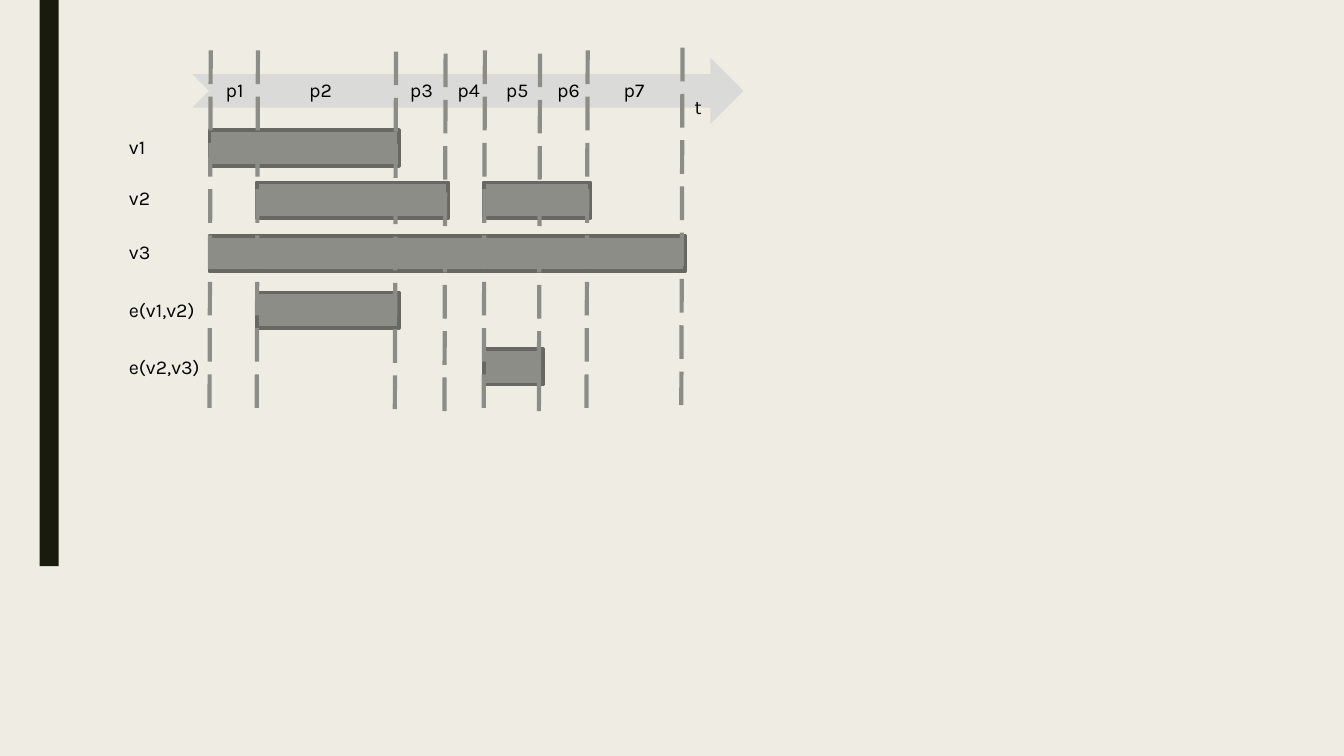
from dataclasses import dataclass

from lxml.etree import SubElement
from pptx import Presentation
from pptx.dml.color import RGBColor
from pptx.enum.dml import MSO_LINE
from pptx.enum.shapes import MSO_CONNECTOR, MSO_SHAPE
from pptx.enum.text import MSO_AUTO_SIZE
from pptx.oxml.ns import qn
from pptx.util import Cm, Pt


@dataclass(frozen=True)
class Theme:
    background: RGBColor = RGBColor(0xEF, 0xED, 0xE3)
    accent_stripe: RGBColor = RGBColor(0x19, 0x1B, 0x0E)
    time_arrow: RGBColor = RGBColor(0xDA, 0xDB, 0xD9)
    bar: RGBColor = RGBColor(0x8C, 0x8D, 0x86)
    bar_outline: RGBColor = RGBColor(0x68, 0x68, 0x63)
    text: RGBColor = RGBColor(0, 0, 0)
    font: str = "Karla"
    label_size: Pt = Pt(14)
    bar_outline_width: Pt = Pt(2.75)
    boundary_width: Pt = Pt(3)


THEME = Theme()

# Period boundaries: (x, top) in cm from the corner of the diagram
BOUNDARIES = [(2.31, 0.07), (3.5, 0.07), (6.98, 0.1), (8.23, 0.15),
              (9.22, 0.07), (10.61, 0.15), (11.81, 0.07), (14.2, 0)]
BOUNDARY_LENGTH = 9.07
BOUNDARY_SLANT = 0.03

# Left edges of the labels p1 to p7
PERIOD_LABELS = [2.44, 4.54, 7.08, 8.28, 9.5, 10.79, 12.47]

# Rows: name, bar top, label top, spans as (first, last) boundary
ROWS = [
    ("v1", 2.08, 2.08, [(0, 2)]),
    ("v2", 3.4, 3.35, [(1, 3), (4, 6)]),
    ("v3", 4.74, 4.72, [(0, 7)]),
    ("e(v1,v2)", 6.17, 6.19, [(1, 2)]),
    ("e(v2,v3)", 7.59, 7.61, [(4, 5)]),
]
BAR_HEIGHT = 0.9
BAR_OVERHANG = 0.07
LABEL_HEIGHT = 0.86


def add_block(slide, kind, left, top, width, height, fill, outline=None):
    shape = slide.shapes.add_shape(kind, Cm(left), Cm(top), Cm(width), Cm(height))
    shape.shadow.inherit = False
    shape.fill.solid()
    shape.fill.fore_color.rgb = fill
    if outline is None:
        shape.line.fill.background()
    else:
        shape.line.color.rgb = outline
        shape.line.width = THEME.bar_outline_width


def add_label(slide, text, left, top, width, height=LABEL_HEIGHT, wrap=True):
    box = slide.shapes.add_textbox(Cm(left), Cm(top), Cm(width), Cm(height))
    frame = box.text_frame
    frame.word_wrap = wrap
    frame.auto_size = MSO_AUTO_SIZE.SHAPE_TO_FIT_TEXT
    run = frame.paragraphs[0].add_run()
    run.text = text
    run.font.name = THEME.font
    run.font.size = THEME.label_size
    run.font.color.rgb = THEME.text


def add_boundary(slide, x, top):
    line = slide.shapes.add_connector(
        MSO_CONNECTOR.STRAIGHT, Cm(x), Cm(top),
        Cm(x - BOUNDARY_SLANT), Cm(top + BOUNDARY_LENGTH))
    line.line.color.rgb = THEME.bar
    line.line.width = THEME.boundary_width
    line.line.dash_style = MSO_LINE.LONG_DASH
    SubElement(line.element.spPr, qn("a:effectLst"))


def add_accent_stripe(slide, left, top, width, height):
    add_block(slide, MSO_SHAPE.RECTANGLE, left, top, width, height,
              THEME.accent_stripe)


def add_timeline(slide, left, top):
    # Time axis
    add_block(slide, MSO_SHAPE.NOTCHED_RIGHT_ARROW, left + 1.85, top + 0.25,
              13.89, 1.68, THEME.time_arrow)
    add_label(slide, "t", left + 14.25, top + 1.06, 0.74, 1.02, wrap=False)

    # Rows of bars
    for name, bar_top, label_top, spans in ROWS:
        add_label(slide, name, left, top + label_top, 2.57)
        for first, last in spans:
            start = BOUNDARIES[first][0] - BOUNDARY_SLANT
            end = BOUNDARIES[last][0] + BAR_OVERHANG
            add_block(slide, MSO_SHAPE.RECTANGLE, left + start, top + bar_top,
                      end - start, BAR_HEIGHT, THEME.bar, THEME.bar_outline)

    # Period boundaries and names
    for x, offset in BOUNDARIES:
        add_boundary(slide, left + x, top + offset)
    for number, x in enumerate(PERIOD_LABELS, start=1):
        add_label(slide, f"p{number}", left + x, top + 0.63, 1.24)


def main():
    presentation = Presentation()
    presentation.slide_width = Cm(33.87)
    presentation.slide_height = Cm(19.05)
    slide = presentation.slides.add_slide(presentation.slide_layouts[6])
    slide.background.fill.solid()
    slide.background.fill.fore_color.rgb = THEME.background

    add_accent_stripe(slide, 1, 0, 0.48, 14.27)
    add_timeline(slide, 3, 1.2)
    presentation.save("out.pptx")


if __name__ == "__main__":
    main()
